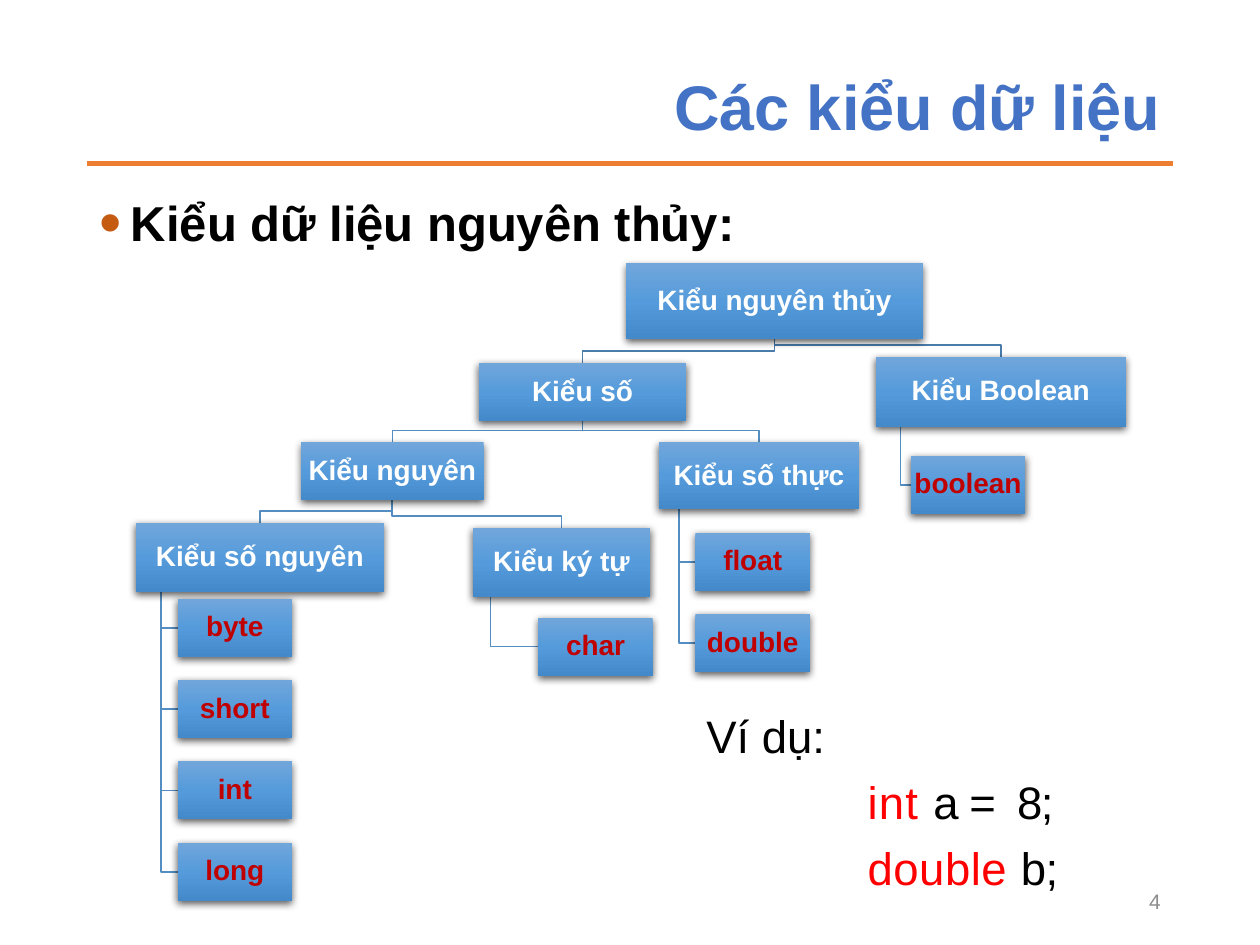
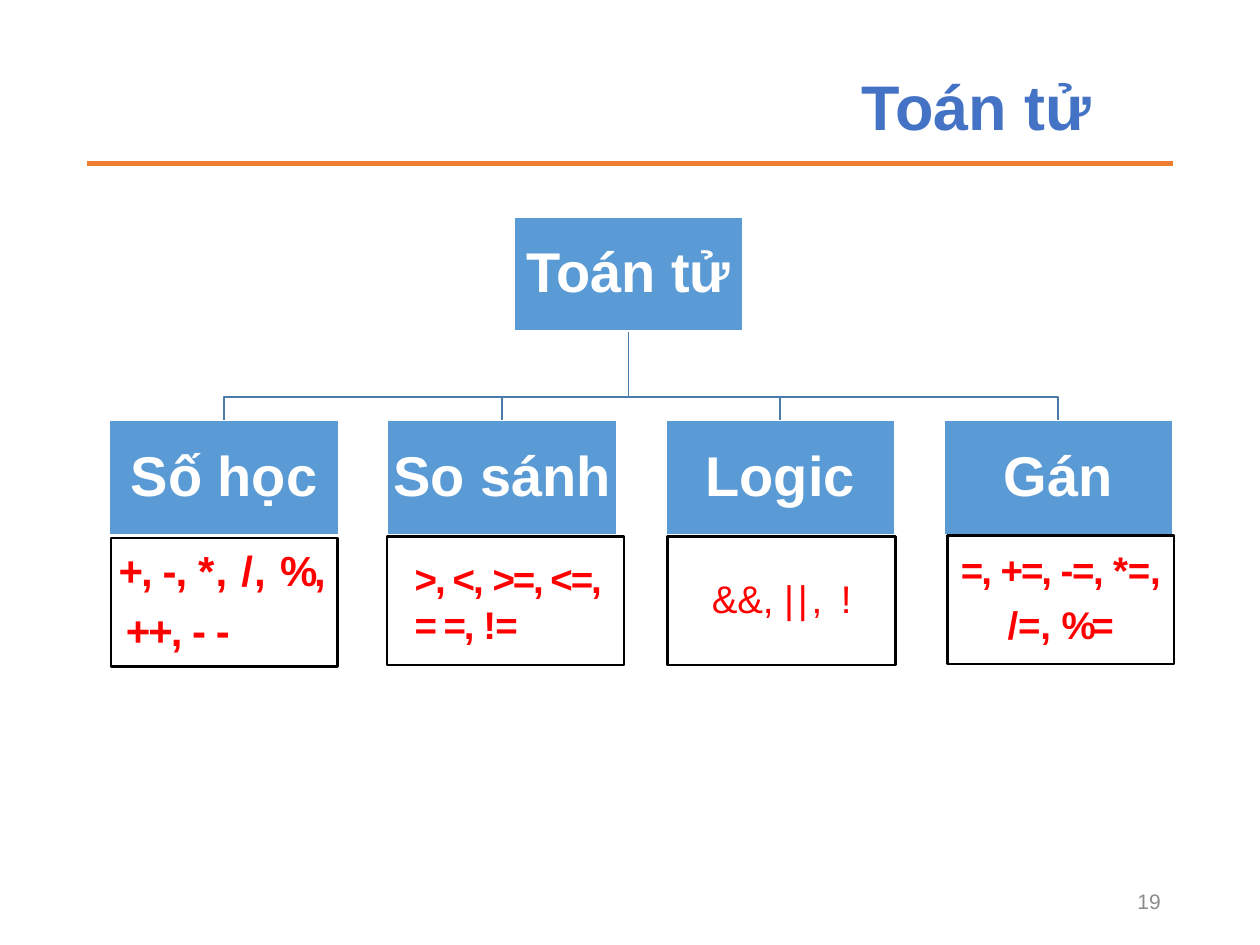
from collections import namedtuple

from pptx import Presentation
from pptx.dml.color import RGBColor
from pptx.enum import shapes, text
from pptx.oxml import parse_xml
from pptx.oxml.ns import nsdecls
from pptx.util import Cm, Pt

FONT = "Arial"
BLUE = RGBColor(0x44, 0x72, 0xC4)
SKY = RGBColor(0x5B, 0x9B, 0xD5)
ORANGE = RGBColor(0xED, 0x7D, 0x31)
RUST = RGBColor(0xC5, 0x5A, 0x11)
WIRE = RGBColor(0x53, 0x8D, 0xC1)
DARK = RGBColor(0x49, 0x7C, 0xAB)
CRIMSON = RGBColor(0xC0, 0x00, 0x00)
RED = RGBColor(0xFF, 0x00, 0x00)
WHITE = RGBColor(0xFF, 0xFF, 0xFF)
BLACK = RGBColor(0x00, 0x00, 0x00)
GRAY = RGBColor(0x8C, 0x8C, 0x8C)
GLOSS = ((0, "71A6DB"), (50, "559BDB"), (100, "448ACA"))
LEFT, CENTER, RIGHT = (text.PP_ALIGN.LEFT, text.PP_ALIGN.CENTER,
                       text.PP_ALIGN.RIGHT)
TOP, MIDDLE = text.MSO_ANCHOR.TOP, text.MSO_ANCHOR.MIDDLE

# All places are left, top, width, height in centimetres.
Box = namedtuple("Box", "x y w h")
HEAD = Box(1.75, 1.35, 21.9, 1.73)
BODY = Box(1.75, 3.89, 21.9, 12.98)
NUMBER = Box(17.93, 17.65, 5.72, 1.02)
RULE_Y = 3.3

# Label: (parent, place)
TYPES = {
    "Kiểu nguyên thủy": (None, Box(12.62, 5.31, 5.99, 1.52)),
    "Kiểu số": ("Kiểu nguyên thủy", Box(9.65, 7.32, 4.19, 1.17)),
    "Kiểu Boolean": ("Kiểu nguyên thủy", Box(17.65, 7.19, 5.05, 1.42)),
    "Kiểu nguyên": ("Kiểu số", Box(6.07, 8.92, 3.68, 1.17)),
    "Kiểu số thực": ("Kiểu số", Box(13.28, 8.92, 4.04, 1.35)),
    "Kiểu số nguyên": ("Kiểu nguyên", Box(2.74, 10.54, 5, 1.4)),
    "Kiểu ký tự": ("Kiểu nguyên", Box(9.53, 10.64, 3.58, 1.4)),
}
# Parent, left and top of its first leaf, leaves
LEAVES = [
    ("Kiểu số nguyên", 3.58, 12.07, ["byte", "short", "int", "long"]),
    ("Kiểu ký tự", 10.85, 12.45, ["char"]),
    ("Kiểu số thực", 14.02, 10.74, ["float", "double"]),
    ("Kiểu Boolean", 18.36, 9.19, ["boolean"]),
]
LEAF_W, LEAF_H, LEAF_STEP = 2.31, 1.17, 1.64

# A run is (text, letter spacing in points, optional colour).
SAMPLE = [
    [("Ví dụ:", 0)],
    [("int ", 0.7, RED), ("a ", -1.1), ("= ", 2.4), ("8;", -0.9)],
    [("double ", 0.3, RED), ("b;", -0.3)],
]
SAMPLE_BOX = Box(13.84, 14.15, 9.04, 4.85)

ROOT = Box(10.36, 4.37, 4.62, 2.31)
KIND_X, KIND_Y, KIND_STEP = 2.21, 8.48, 5.605
SIGN_H = 2.59
# Kind, place of its signs (left, top, width), signs, format
KINDS = [
    ("Số học", (2.24, 10.85, 4.57),
     [[("+, ", -1.1), ("-, ", -0.5), ("*, /, ", 0.7), ("%,", -1.9)],
      [("++, ", -1.2), ("- -", -0.5)]],
     dict(size=24, align=LEFT, pad=(0.15, 0.02), indents=(0, 0.15),
          lead=0.9, gap=8.4)),
    ("So sánh", (7.8, 10.82, 4.78),
     [[(">, <, ", -1.1), (">=, <=,", -1.2)],
      [("= =, ", -1.2), ("!=", -0.3)]],
     dict(align=LEFT, pad=(0.56, 0.05))),
    ("Logic", (13.46, 10.82, 4.6),
     [[("&&, ", -0.1), ("||, ", 2.2), ("!", 0.8)]],
     dict(bold=False, lead=0.9)),
    ("Gán", (19.1, 10.8, 4.57),
     [[("=, ", -1.1), ("+=, ", -1.2), ("-=, ", -0.8), ("*=,", -0.1)],
      [("/=, ", -0.1), ("%=", -2.4)]],
     dict(lead=0.9, gap=7.7)),
]


def cm(box):
    return [Cm(v) for v in box]


def write(shape, paras, size=16, color=WHITE, bold=True, align=CENTER,
          anchor=MIDDLE, pad=(0.04, 0.04), lead=1, gap=0, indents=()):
    """Fill a shape with text; paras is a string or a list of run lists."""
    if isinstance(paras, str):
        paras = [[(paras, 0)]]
    frame = shape.text_frame
    frame.word_wrap = True
    frame.vertical_anchor = anchor
    frame.margin_left, frame.margin_right = Cm(pad[0]), Cm(pad[1])
    if len(pad) > 2:
        frame.margin_top = frame.margin_bottom = Cm(pad[2])
    else:
        frame.margin_top = frame.margin_bottom = Cm(0.04)
    for i, runs in enumerate(paras):
        para = frame.add_paragraph() if i else frame.paragraphs[0]
        para.alignment, para.line_spacing = align, lead
        para.space_before = Pt(gap if i else 0)
        if indents:
            props = para._p.get_or_add_pPr()
            props.set("marL", str(Cm(indents[i])))
            props.set("indent", "0")
        for words, space, *tint in runs:
            run = para.add_run()
            run.text = words
            font = run.font
            font.name, font.size, font.bold = FONT, Pt(size), bold
            font.color.rgb = tint[0] if tint else color
            if space:
                font._element.set("spc", str(round(space * 100)))


def place(shape, box):
    shape.left, shape.top, shape.width, shape.height = cm(box)


def rect(slide, box, fill=None, line=None, width=1):
    shape = slide.shapes.add_shape(shapes.MSO_SHAPE.RECTANGLE, *cm(box))
    shape.shadow.inherit = False
    if fill:
        shape.fill.solid()
        shape.fill.fore_color.rgb = fill
    else:
        shape.fill.background()
    if line is None:
        shape.line.fill.background()
    else:
        shape.line.color.rgb = line
        shape.line.width = Pt(width)
    return shape


def polish(shape):
    """Give a shape the glossy gradient and soft shadow of the type tree."""
    shape.fill.gradient()
    shape.fill.gradient_angle = 270
    stops = "".join(
        f'<a:gs pos="{pos * 1000}"><a:srgbClr val="{tint}"/></a:gs>'
        for pos, tint in GLOSS)
    props = shape._element.spPr
    old = props.find(".//{*}gsLst")
    old.getparent().replace(
        old, parse_xml(f'<a:gsLst {nsdecls("a")}>{stops}</a:gsLst>'))
    props.find("{*}effectLst").append(parse_xml(
        f'<a:outerShdw {nsdecls("a")} blurRad="57150" dist="19050" '
        'dir="5400000" algn="ctr" rotWithShape="0"><a:srgbClr val="000000">'
        '<a:alpha val="63000"/></a:srgbClr></a:outerShdw>'))


def wire(slide, points, color):
    pts = [(Cm(x), Cm(y)) for x, y in points]
    pen = slide.shapes.build_freeform(*pts[0])
    pen.add_line_segments(pts[1:], close=False)
    shape = pen.convert_to_shape()
    shape.shadow.inherit = False
    shape.fill.background()
    shape.line.color.rgb = color
    shape.line.width = Pt(1)


def drop(top, low, rise):
    """Path from under one box to the top of a lower one."""
    x, end = top.x + top.w / 2, low.x + low.w / 2
    bend = low.y - rise
    return [(x, top.y + top.h), (x, bend), (end, bend), (end, low.y)]


def hang(top, leaf):
    """Path from the lower left of a box to the side of a leaf."""
    x, y = top.x + top.w / 10, leaf.y + leaf.h / 2
    return [(x, top.y + top.h), (x, y), (leaf.x, y)]


def start(deck, layout, title, number, right=0.25):
    """Add a slide with its title, rule and number."""
    slide = deck.slides.add_slide(deck.slide_layouts[layout])
    rule = slide.shapes.add_connector(
        shapes.MSO_CONNECTOR.STRAIGHT, Cm(HEAD.x), Cm(RULE_Y),
        Cm(HEAD.x + HEAD.w), Cm(RULE_Y))
    rule.line.color.rgb, rule.line.width = ORANGE, Pt(2.75)
    rule._element.spPr.append(parse_xml(f'<a:effectLst {nsdecls("a")}/>'))
    head = slide.shapes.title
    place(head, HEAD)
    write(head, title, size=36, color=BLUE, align=RIGHT, lead=0.9,
          pad=(0.25, right, 0.13))
    foot = slide.shapes.add_textbox(*cm(NUMBER))
    write(foot, number, size=12, color=GRAY, bold=False, align=RIGHT,
          pad=(0.25, 0.25, 0.13))
    return slide


def types(deck):
    slide = start(deck, 1, "Các kiểu dữ liệu", "4")
    body = slide.placeholders[1]
    place(body, BODY)
    props = body.text_frame.paragraphs[0]._p.get_or_add_pPr()
    props.set("marL", str(Cm(0.64)))
    props.set("indent", str(-Cm(0.64)))
    for tag in (f'buClr {nsdecls("a")}><a:srgbClr val="{RUST}"/></a:buClr',
                f'buSzPct {nsdecls("a")} val="130000"/',
                f'buFont {nsdecls("a")} typeface="{FONT}"/',
                f'buChar {nsdecls("a")} char="•"/'):
        props.append(parse_xml(f"<a:{tag}>"))
    write(body, "Kiểu dữ liệu nguyên thủy:", size=28, color=BLACK,
          align=LEFT, anchor=TOP, lead=0.9, pad=(0.25, 0.25, 0.13))

    nodes = [(name, box, WHITE) for name, (_, box) in TYPES.items()]
    for name, (parent, box) in TYPES.items():
        if parent:
            top = TYPES[parent]
            wire(slide, drop(top[1], box, 0.24), WIRE if top[0] else DARK)
    for parent, x, y, names in LEAVES:
        for i, name in enumerate(names):
            leaf = Box(x, y + i * LEAF_STEP, LEAF_W, LEAF_H)
            wire(slide, hang(TYPES[parent][1], leaf), WIRE)
            nodes.append((name, leaf, CRIMSON))
    for name, box, color in nodes:
        node = rect(slide, box)
        polish(node)
        write(node, name, color=color, lead=0.9)

    note = slide.shapes.add_textbox(*cm(SAMPLE_BOX))
    write(note, SAMPLE, size=26, color=BLACK, bold=False, align=LEFT,
          anchor=TOP, gap=6.5, pad=(0.25, 0.25, 0.13),
          indents=(0.15, 3.4, 3.4))


def signs(deck):
    slide = start(deck, 5, "Toán tử", "19", right=1.65)
    boxes = [Box(KIND_X + i * KIND_STEP, KIND_Y, ROOT.w, ROOT.h)
             for i in range(len(KINDS))]
    for box in boxes:
        wire(slide, drop(ROOT, box, 0.48), DARK)
    names = ["Toán tử"] + [kind[0] for kind in KINDS]
    for name, box in zip(names, [ROOT] + boxes):
        write(rect(slide, box, SKY, WHITE), name, size=32, lead=0.9)
    for _, spot, marks, form in KINDS:
        cell = rect(slide, Box(*spot, SIGN_H), line=BLACK, width=1.5)
        write(cell, marks, **{"size": 22, "color": RED, **form})


def main():
    deck = Presentation()
    deck.slide_width, deck.slide_height = Cm(25.4), Cm(19.05)
    types(deck)
    signs(deck)
    deck.save("out.pptx")


if __name__ == "__main__":
    main()
